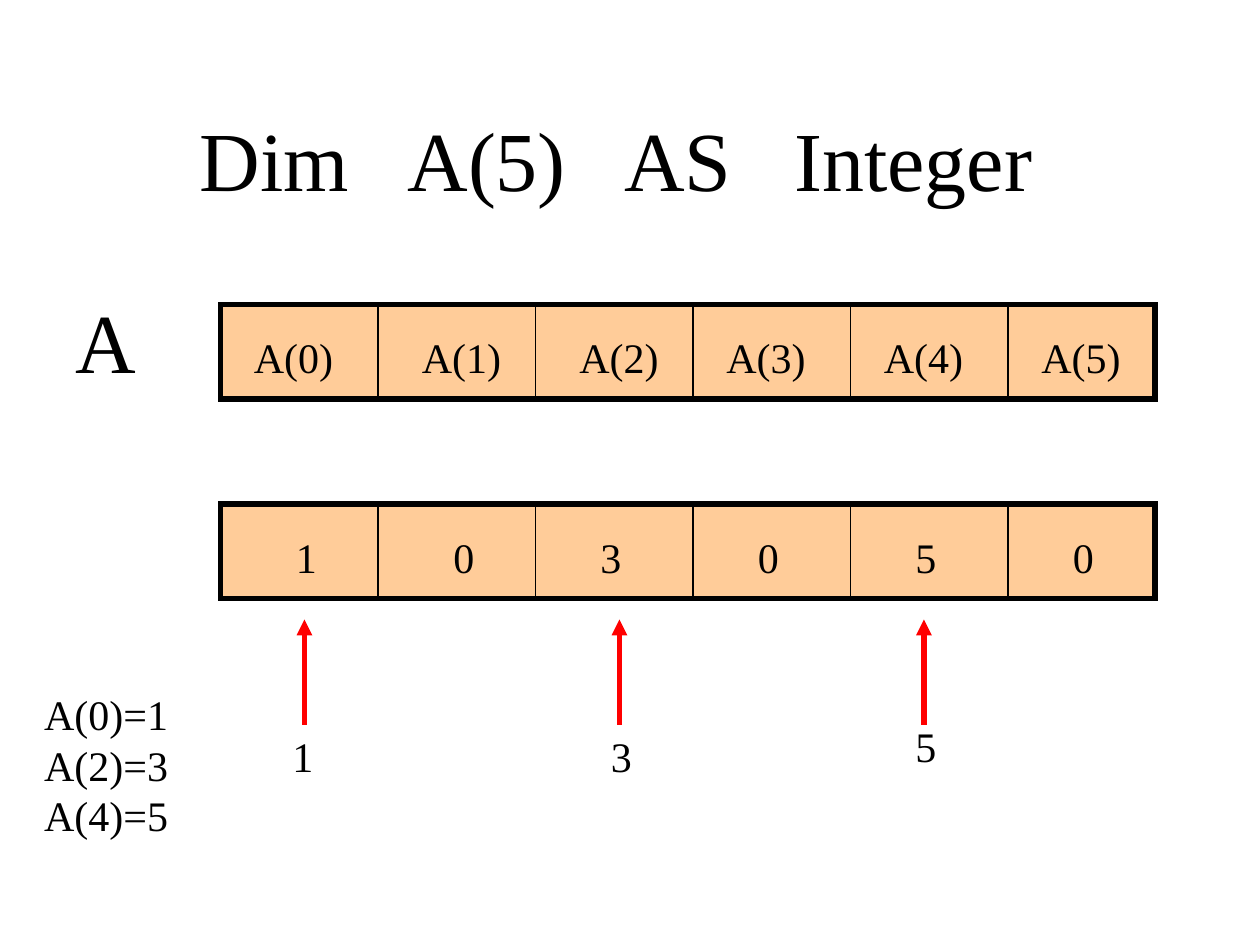
import pptx
import pptx.dml.color
import pptx.enum.shapes
import pptx.enum.text
import pptx.oxml.ns
import pptx.util
from lxml import etree

Pt = pptx.util.Pt
BLACK = pptx.dml.color.RGBColor(0x00, 0x00, 0x00)
PEACH = pptx.dml.color.RGBColor(0xFF, 0xCC, 0x99)
RED = pptx.dml.color.RGBColor(0xFF, 0x00, 0x00)
FONT = "Times New Roman"

TITLE = "Dim   A(5)   AS   Integer"
ARRAY_NAME = "A"
ASSIGNMENTS = ["A(0)=1", "A(2)=3", "A(4)=5"]
ARRAY_ROWS = [
    {"top": 174, "text_top": 186, "text_width": 60,
     "cells": [("A(0)", 138), ("A(1)", 234), ("A(2)", 324),
               ("A(3)", 408), ("A(4)", 498), ("A(5)", 588)]},
    {"top": 288, "text_top": 300, "text_width": 26,
     "cells": [("1", 162), ("0", 252), ("3", 336),
               ("0", 426), ("5", 516), ("0", 606)]},
]
INPUTS = [("1", 160, 414, 174), ("3", 342, 414, 354), ("5", 516, 408, 528)]

ROW_LEFT, ROW_WIDTH, ROW_HEIGHT = 126, 534, 54
FIRST_DIVIDER, CELL_PITCH = 216, 90
ARROW_BOTTOM, ARROW_TOP = 414, 354


def write_lines(box, lines, size):
    frame = box.text_frame
    frame.text = "\n".join(lines)
    frame.word_wrap = False
    frame.auto_size = pptx.enum.text.MSO_AUTO_SIZE.NONE
    frame.vertical_anchor = pptx.enum.text.MSO_ANCHOR.TOP
    for para in frame.paragraphs:
        para.alignment = pptx.enum.text.PP_ALIGN.LEFT
        para.space_before = Pt(0)
        for span in para.runs:
            span.font.name = FONT
            span.font.size = Pt(size)
            span.font.color.rgb = BLACK


def place(box, left, top, width, height):
    box.left, box.top = Pt(left), Pt(top)
    box.width, box.height = Pt(width), Pt(height)


def add_label(page, text, left, top, width, height=36, size=24):
    box = page.shapes.add_textbox(Pt(left), Pt(top), Pt(width), Pt(height))
    write_lines(box, [text], size)


def add_line(page, x, start, end, color, weight):
    line = page.shapes.add_connector(
        pptx.enum.shapes.MSO_CONNECTOR.STRAIGHT, Pt(x), Pt(start), Pt(x), Pt(end))
    line.line.color.rgb = color
    line.line.width = Pt(weight)
    etree.SubElement(line._element.spPr, pptx.oxml.ns.qn("a:effectLst"))
    return line


def add_array_row(page, row):
    top = row["top"]
    bar = page.shapes.add_shape(
        pptx.enum.shapes.MSO_SHAPE.RECTANGLE,
        Pt(ROW_LEFT), Pt(top), Pt(ROW_WIDTH), Pt(ROW_HEIGHT))
    bar.shadow.inherit = False
    bar.fill.solid()
    bar.fill.fore_color.rgb = PEACH
    bar.line.color.rgb = BLACK
    bar.line.width = Pt(3)
    etree.SubElement(bar.line._get_or_add_ln(),
                     pptx.oxml.ns.qn("a:miter"), lim="800000")
    for index in range(len(row["cells"]) - 1):
        add_line(page, FIRST_DIVIDER + index * CELL_PITCH,
                 top, top + ROW_HEIGHT, BLACK, 0.75)
    for text, left in row["cells"]:
        add_label(page, text, left, row["text_top"], row["text_width"])


def add_input(page, text, left, top, arrow_x):
    add_label(page, text, left, top, 26)
    arrow = add_line(page, arrow_x, ARROW_BOTTOM, ARROW_TOP, RED, 3)
    etree.SubElement(arrow.line._get_or_add_ln(),
                     pptx.oxml.ns.qn("a:tailEnd"), type="triangle")


def fill_assignments(box):
    place(box, 18, 390, 100, 94)
    write_lines(box, ASSIGNMENTS, 24)
    for para in box.text_frame.paragraphs:
        properties = para._p.get_or_add_pPr()
        properties.set("marL", "0")
        properties.set("indent", "0")
        etree.SubElement(properties, pptx.oxml.ns.qn("a:buNone"))


def main():
    deck = pptx.Presentation()
    deck.slide_width, deck.slide_height = Pt(720), Pt(540)
    page = deck.slides.add_slide(deck.slide_layouts[1])
    title = page.shapes.title
    place(title, 107, 58, 495, 65)
    write_lines(title, [TITLE], 48)
    fill_assignments(page.placeholders[1])
    add_label(page, ARRAY_NAME, 36, 162, 49, 65, 48)
    for row in ARRAY_ROWS:
        add_array_row(page, row)
    for entry in INPUTS:
        add_input(page, *entry)
    deck.save("out.pptx")


if __name__ == "__main__":
    main()
